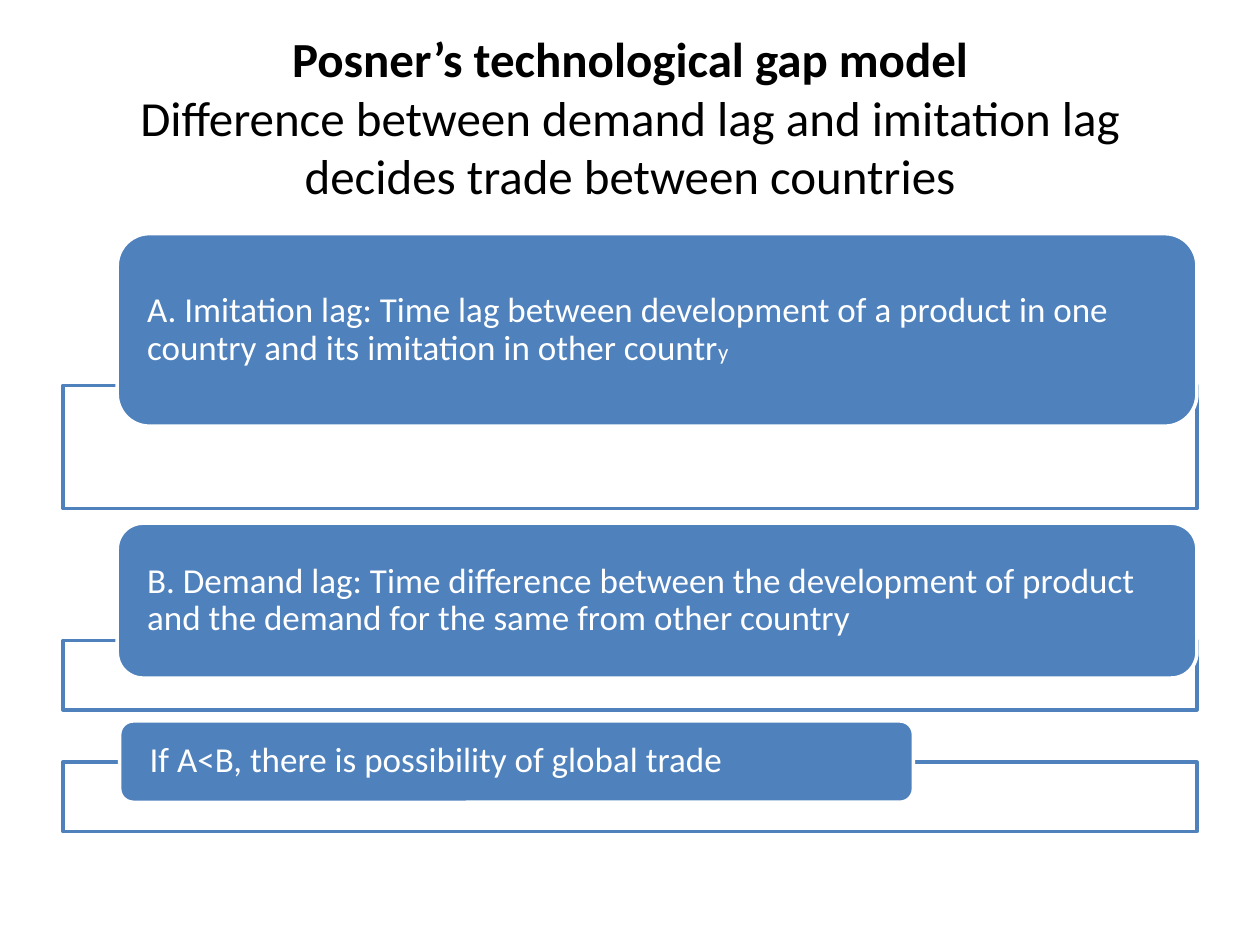
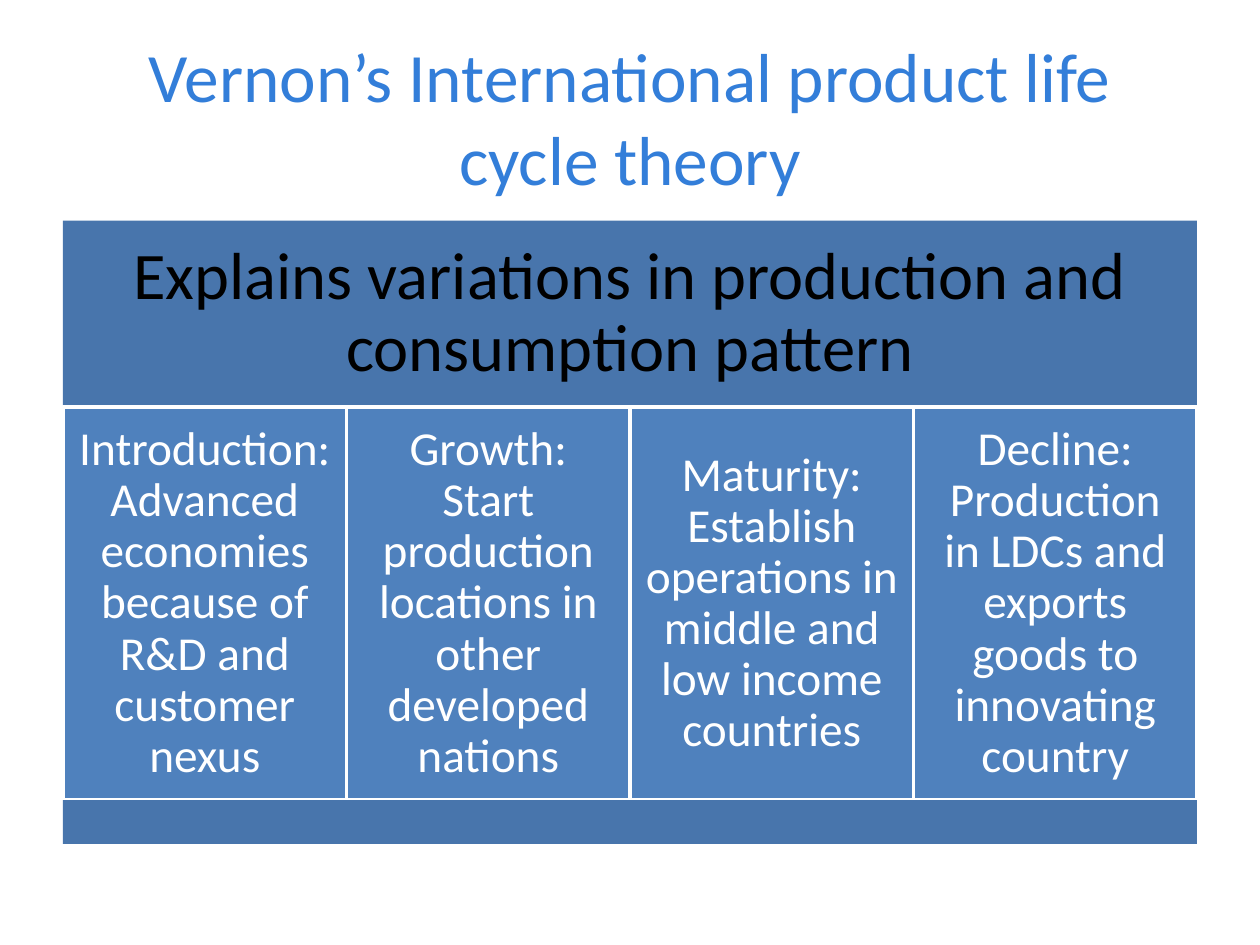
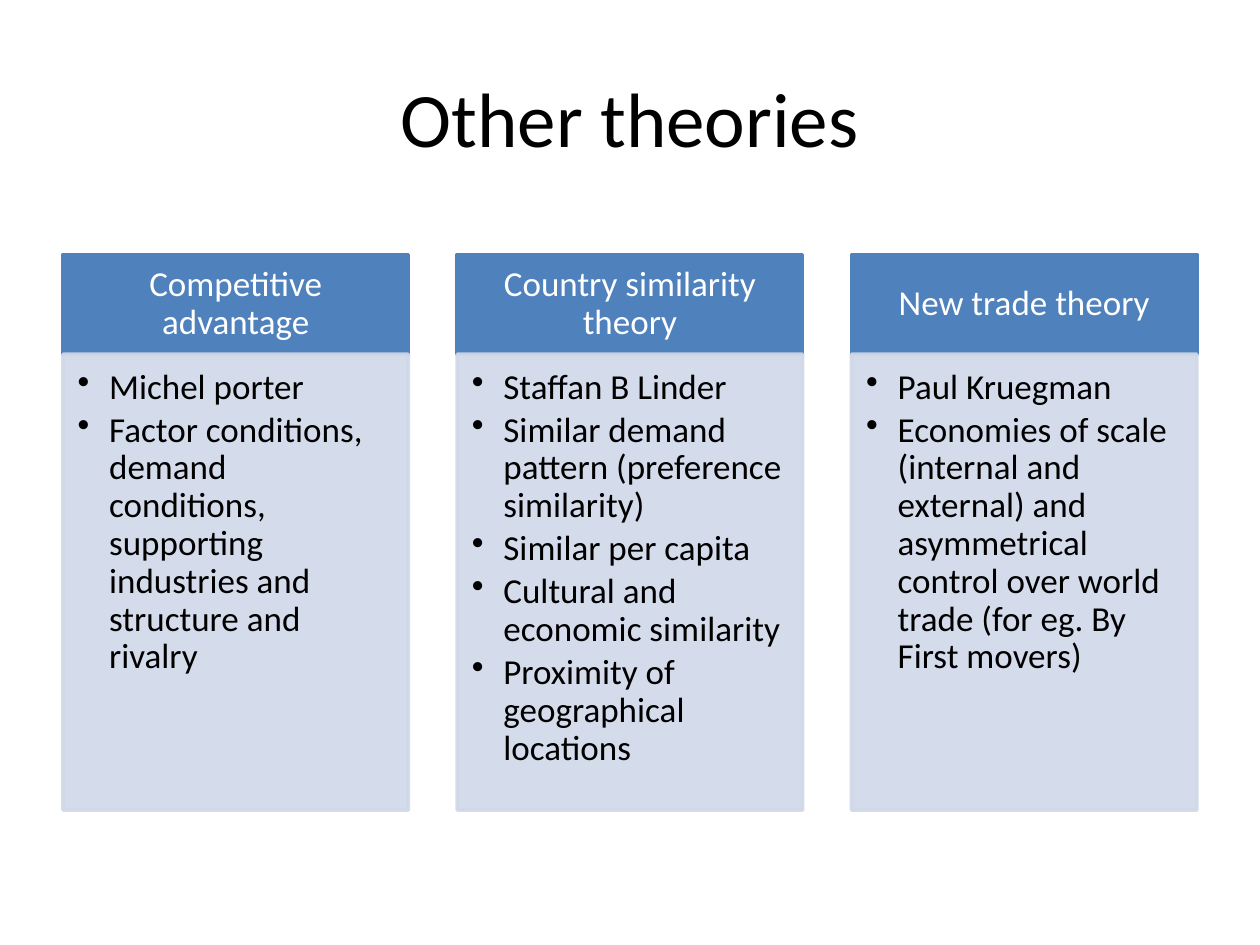
from lxml import etree
from pptx import Presentation
from pptx.dml.color import RGBColor
from pptx.enum.shapes import MSO_SHAPE
from pptx.enum.text import MSO_ANCHOR, MSO_AUTO_SIZE, PP_ALIGN
from pptx.oxml.ns import qn
from pptx.util import Pt

RECTANGLE, ROUNDED = MSO_SHAPE.RECTANGLE, MSO_SHAPE.ROUNDED_RECTANGLE
TOP, MIDDLE = MSO_ANCHOR.TOP, MSO_ANCHOR.MIDDLE
LEFT, CENTER = PP_ALIGN.LEFT, PP_ALIGN.CENTER

# Shared style, lengths in points
FONT = "Calibri"
BLUE, BAND_BLUE, TITLE_BLUE, PALE = "4F81BD", "4875AC", "337ED9", "D0D8E8"
WHITE, BLACK = "FFFFFF", "000000"
MARGIN, CONTENT_WIDTH = 36, 648
LINE_WIDTH = 2

# Slide 1: text runs with sizes, then pill left, top, width, height and frame top, height
GAP_TITLE = [
    "Posner’s technological gap model",
    "Difference between demand lag and imitation lag decides trade between countries",
]
LAGS = [
    ([("A. Imitation lag: Time lag between development of a product in one country "
       "and its imitation in other countr", 20), ("y", 13)],
     (67, 133.5, 617, 110), (220.2, 70.4)),
    ([("B. Demand lag: Time difference between the development of product and the "
       "demand for the same from other country", 20)],
     (67, 299, 617, 88.5), (366, 39.6)),
    ([("If A<B, there is possibility of global trade", 20)],
     (68.4, 412, 453.6, 46.5), (435.5, 39.6)),
]

# Slide 2
CYCLE_TITLE = ["Vernon’s International product life cycle theory"]
CYCLE_BAND = "Explains variations in production and consumption pattern"
STAGES = [
    "Introduction: Advanced economies because of R&D and customer nexus",
    "Growth: Start production locations in other developed nations",
    "Maturity: Establish operations in middle and low income countries",
    "Decline: Production in LDCs and exports goods to innovating country",
]
BAND_TOP, BAND_HEIGHT, STAGE_HEIGHT, FOOT_HEIGHT = 126, 106.6, 224.6, 25

# Slide 3
THEORIES_TITLE = ["Other theories"]
THEORIES = {
    "Competitive advantage": [
        "Michel porter",
        "Factor conditions, demand conditions, supporting industries and structure and rivalry",
    ],
    "Country similarity theory": [
        "Staffan B Linder",
        "Similar demand pattern (preference similarity)",
        "Similar per capita",
        "Cultural and economic similarity",
        "Proximity of geographical locations",
    ],
    "New trade theory": [
        "Paul Kruegman",
        "Economies of scale (internal and external) and asymmetrical control over world "
        "trade (for eg. By First movers)",
    ],
}
COLUMN_WIDTH, HEADER_TOP, HEADER_HEIGHT, LIST_HEIGHT = 197.4, 145.4, 57, 260.6


def color(value):
    return RGBColor.from_string(value)


def style_font(font, size, text_color, bold=False):
    font.name, font.size, font.bold = FONT, Pt(size), bold
    font.color.rgb = color(text_color)


def add_titled_slide(presentation, lines, size, text_color=BLACK):
    slide = presentation.slides.add_slide(presentation.slide_layouts[5])
    title = slide.shapes.title
    title.left, title.top, title.width, title.height = Pt(36), Pt(21.6), Pt(648), Pt(90)
    title.text_frame.auto_size = MSO_AUTO_SIZE.NONE
    title.text_frame.vertical_anchor = MIDDLE
    paragraph = title.text_frame.paragraphs[0]
    paragraph.text = "\v".join(lines)
    paragraph.alignment = CENTER
    for index, run in enumerate(paragraph.runs):
        style_font(run.font, size, text_color, bold=len(lines) > 1 and index == 0)
    # A line break carries its own size
    for line_break in paragraph._p.findall(qn("a:br")):
        etree.SubElement(line_break, qn("a:rPr"), sz=str(size * 100))
    return slide


def add_box(slide, box, fill, line=None, kind=RECTANGLE):
    shape = slide.shapes.add_shape(kind, *(Pt(value) for value in box))
    shape.shadow.inherit = False
    shape.fill.solid()
    shape.fill.fore_color.rgb = color(fill)
    if line:
        shape.line.color.rgb = color(line)
        shape.line.width = Pt(LINE_WIDTH)
    else:
        shape.line.fill.background()
    return shape


def make_translucent(shape, percent):
    for fill_color in shape._element.spPr.iter(qn("a:srgbClr")):
        etree.SubElement(fill_color, qn("a:alpha"), val=str(percent * 1000))


def write(shape, paragraphs, text_color, insets, alignment=CENTER, anchor=MIDDLE, bullets=False):
    """Each paragraph is a list of (text, size) runs."""
    frame = shape.text_frame
    frame.word_wrap = True
    frame.vertical_anchor = anchor
    frame.margin_left, frame.margin_top, frame.margin_right, frame.margin_bottom = map(Pt, insets)
    for index, runs in enumerate(paragraphs):
        paragraph = frame.add_paragraph() if index else frame.paragraphs[0]
        paragraph.alignment = alignment
        paragraph.line_spacing = 0.9
        if bullets:
            paragraph.level = 1
            paragraph.space_after = Pt(3)
            properties = paragraph._p.get_or_add_pPr()
            properties.set("marL", str(Pt(18)))
            properties.set("indent", str(-Pt(18)))
            etree.SubElement(properties, qn("a:buChar"), char="•")
        for text, size in runs:
            run = paragraph.add_run()
            run.text = text
            style_font(run.font, size, text_color)


def build_gap_model(presentation):
    slide = add_titled_slide(presentation, GAP_TITLE, 28)
    for runs, pill_box, (frame_top, frame_height) in LAGS:
        add_box(slide, (MARGIN, frame_top, CONTENT_WIDTH, frame_height), WHITE, BLUE)
        pill = add_box(slide, pill_box, BLUE, WHITE, ROUNDED)
        # Rounded corners already push the text in by about 5% of the height
        side = 17.2 - 0.05 * pill_box[3]
        write(pill, [runs], WHITE, (side, 0, side, 0), LEFT)


def build_life_cycle(presentation):
    slide = add_titled_slide(presentation, CYCLE_TITLE, 39.6, TITLE_BLUE)
    band = add_box(slide, (MARGIN, BAND_TOP, CONTENT_WIDTH, BAND_HEIGHT), BAND_BLUE)
    write(band, [[(CYCLE_BAND, 38)]], BLACK, [11.5] * 4)
    stage_top = BAND_TOP + BAND_HEIGHT
    stage_width = CONTENT_WIDTH / len(STAGES)
    for index, text in enumerate(STAGES):
        left = MARGIN + index * stage_width
        stage = add_box(slide, (left, stage_top, stage_width, STAGE_HEIGHT), BLUE, WHITE)
        write(stage, [[(text, 27)]], WHITE, [8] * 4)
    add_box(slide, (MARGIN, stage_top + STAGE_HEIGHT, CONTENT_WIDTH, FOOT_HEIGHT), BAND_BLUE)


def build_other_theories(presentation):
    slide = add_titled_slide(presentation, THEORIES_TITLE, 44)
    step = (CONTENT_WIDTH - COLUMN_WIDTH) / (len(THEORIES) - 1)
    for index, (name, points) in enumerate(THEORIES.items()):
        left = MARGIN + index * step
        header = add_box(slide, (left, HEADER_TOP, COLUMN_WIDTH, HEADER_HEIGHT), BLUE, BLUE)
        write(header, [[(name, 20)]], WHITE, (11.2, 6.4, 11.2, 6.4))
        list_top = HEADER_TOP + HEADER_HEIGHT
        panel = add_box(slide, (left, list_top, COLUMN_WIDTH, LIST_HEIGHT), PALE, PALE)
        make_translucent(panel, 90)
        write(panel, [[(point, 20)] for point in points], BLACK,
              (8.4, 8.4, 11.2, 12.6), LEFT, TOP, bullets=True)


def main():
    presentation = Presentation()
    presentation.slide_width, presentation.slide_height = Pt(720), Pt(540)
    build_gap_model(presentation)
    build_life_cycle(presentation)
    build_other_theories(presentation)
    presentation.save("out.pptx")


if __name__ == "__main__":
    main()
